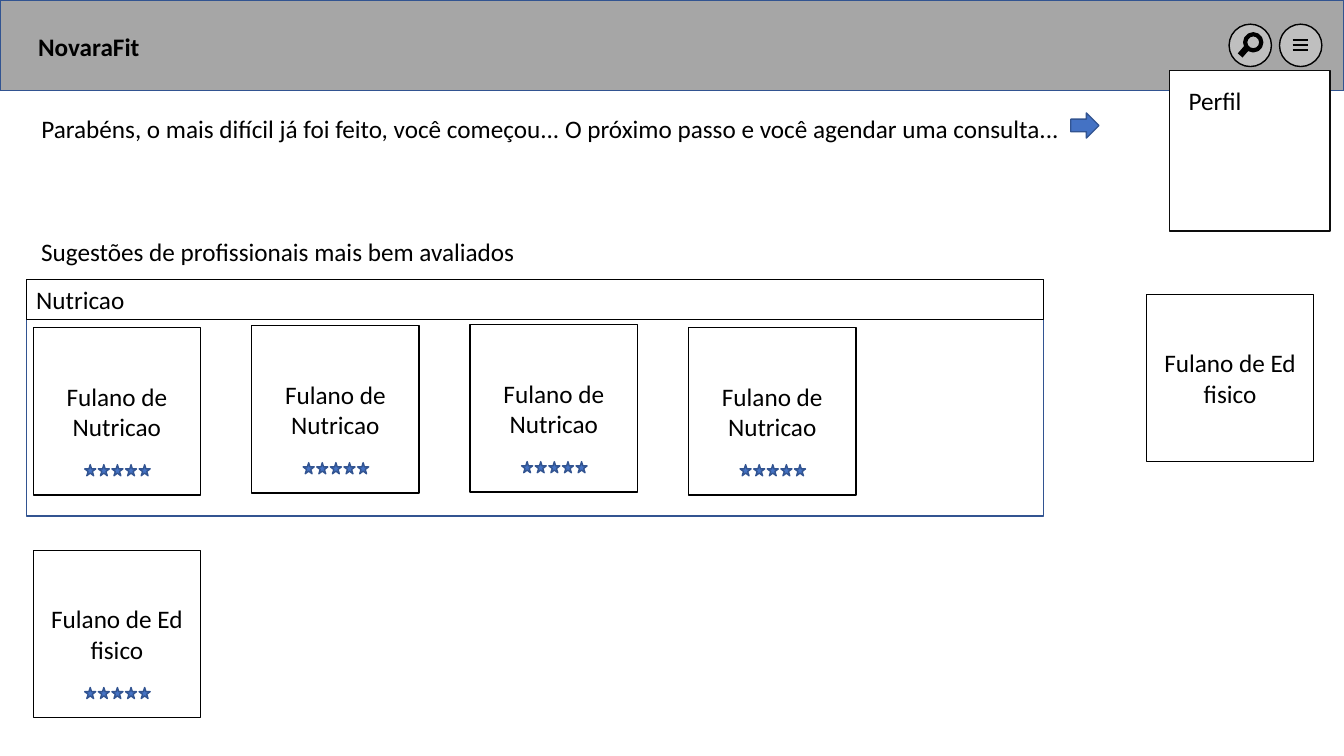
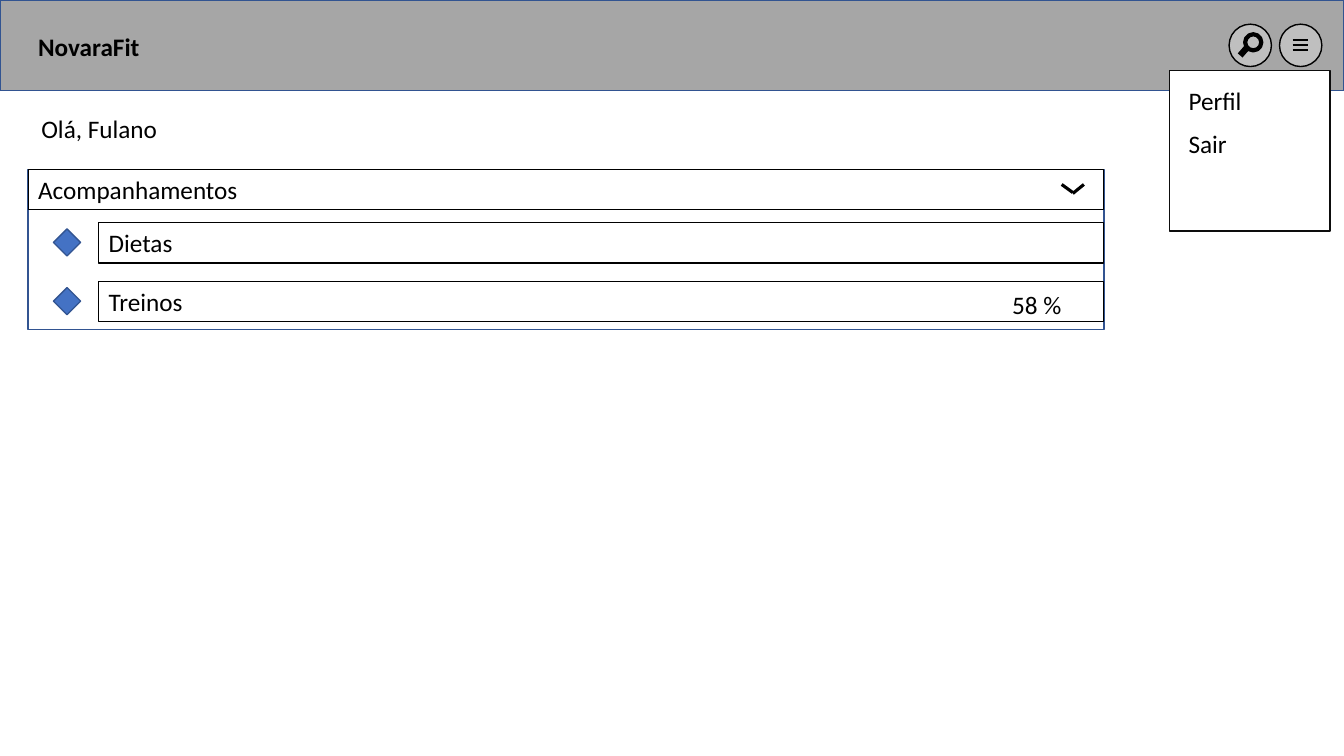
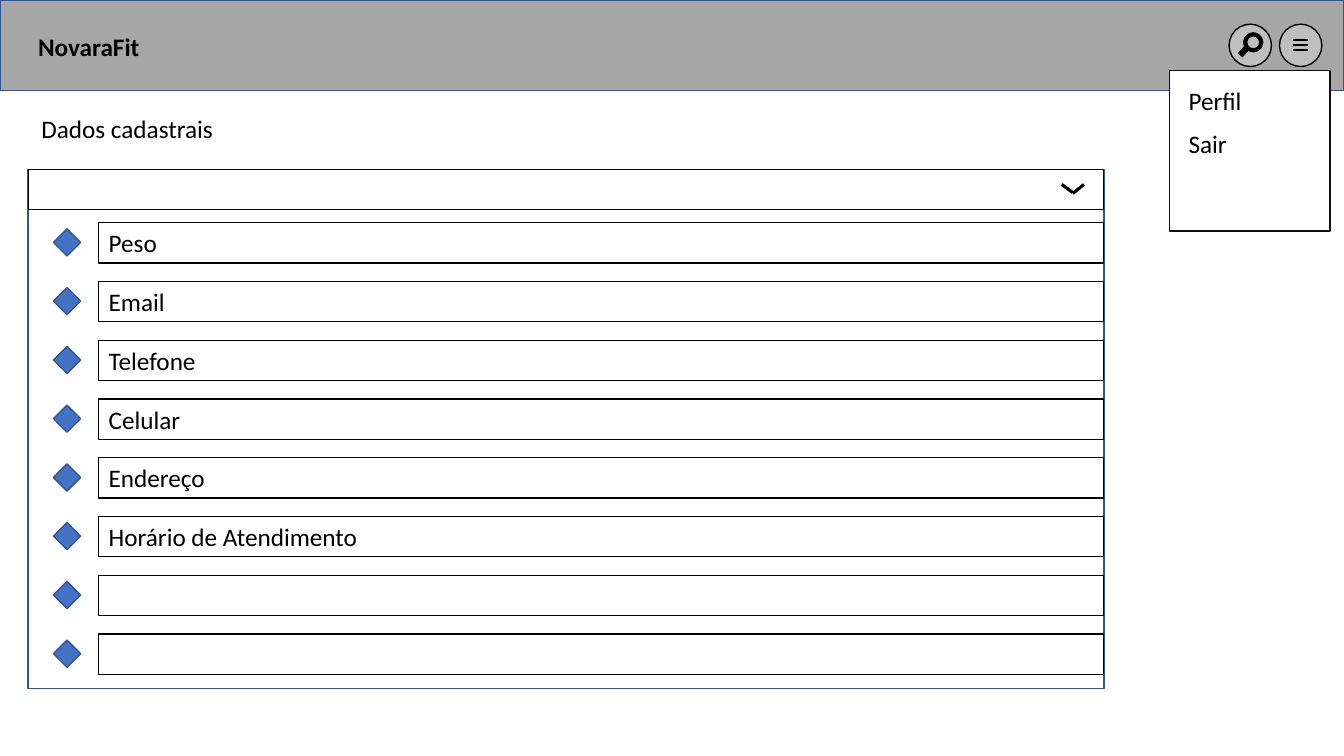
"""Build three wireframe pages of a fitness application."""
from lxml.etree import SubElement
from pptx import Presentation
from pptx.dml.color import RGBColor
from pptx.enum.shapes import MSO_CONNECTOR, MSO_SHAPE
from pptx.enum.text import MSO_ANCHOR, MSO_AUTO_SIZE, PP_ALIGN
from pptx.oxml.ns import qn
from pptx.util import Inches, Pt

BLACK = RGBColor(0x00, 0x00, 0x00)
INK = RGBColor(0x0D, 0x0D, 0x0D)
WHITE = RGBColor(0xFF, 0xFF, 0xFF)
HEADER_GREY = RGBColor(0xA6, 0xA6, 0xA6)
BUTTON_GREY = RGBColor(0xBF, 0xBF, 0xBF)
BLUE = RGBColor(0x44, 0x72, 0xC4)
DARK_BLUE = RGBColor(0x32, 0x54, 0x91)

FONT = {"name": "Calibri", "size": Pt(18), "bold": False}
FRAME = {"word_wrap": True, "auto_size": MSO_AUTO_SIZE.NONE}
BAR_HEIGHT = 0.4
PANEL_TOP = 1.68
ROW_TOP = 2.21
ROW_STEP = (6.29 - ROW_TOP) / 7
CARD_SIDE = 1.66
CARD_STEP = 6.5 / 3
STAR_STEP = 0.54 / 4


class Wireframe:
    """Hold the shared style and the current page."""

    def __init__(self):
        self.deck = Presentation()
        self.deck.slide_width = Inches(13.33)
        self.deck.slide_height = Inches(7.5)
        self.page = None

    def set_text(self, shape, text, anchor=MSO_ANCHOR.TOP, align=PP_ALIGN.LEFT, **font):
        frame = shape.text_frame
        frame.text = text
        for name, value in {**FRAME, "vertical_anchor": anchor}.items():
            setattr(frame, name, value)
        para = frame.paragraphs[0]
        para.alignment = align
        span = para.runs[0]
        for name, value in {**FONT, **font}.items():
            setattr(span.font, name, value)
        span.font.color.rgb = BLACK

    def shape(self, kind, left, top, width, height, fill=None, line=BLACK, weight=1):
        shape = self.page.shapes.add_shape(
            kind, Inches(left), Inches(top), Inches(width), Inches(height))
        shape.shadow.inherit = False
        if fill is None:
            shape.fill.background()
        else:
            shape.fill.solid()
            shape.fill.fore_color.rgb = fill
        shape.line.color.rgb = line
        shape.line.width = Pt(weight)
        return shape

    def label(self, text, left, top, width, height=BAR_HEIGHT, **font):
        box = self.page.shapes.add_textbox(
            Inches(left), Inches(top), Inches(width), Inches(height))
        self.set_text(box, text, **font)

    def line(self, start, end, weight):
        points = [Inches(value) for value in (*start, *end)]
        line = self.page.shapes.add_connector(MSO_CONNECTOR.STRAIGHT, *points)
        line.line.color.rgb = BLACK
        line.line.width = Pt(weight)
        SubElement(line._element.spPr, qn("a:effectLst"))
        return line

    def group(self, *shapes):
        self.page.shapes.add_group_shape(shapes)

    def bar(self, text, left, top, width):
        bar = self.shape(MSO_SHAPE.RECTANGLE, left, top, width, BAR_HEIGHT, weight=0.75)
        if text:
            self.set_text(bar, text)

    def title(self, text):
        title = self.page.shapes.title
        place = {"left": 0.31, "top": 1.07, "width": 10.67, "height": BAR_HEIGHT}
        for name, value in place.items():
            setattr(title, name, Inches(value))
        self.set_text(title, text)

    def header(self):
        self.shape(MSO_SHAPE.RECTANGLE, 0, 0, 13.33, 0.9, HEADER_GREY, DARK_BLUE)
        self.label("NovaraFit", 0.28, 0.26, 3.17, bold=True)
        for left in (12.19, 12.69):
            self.shape(MSO_SHAPE.OVAL, left, 0.24, 0.42, 0.42, BUTTON_GREY)
        for top in (0.4, 0.45, 0.5):
            self.line((12.82, top), (12.97, top), 1.5)
        lens = self.shape(MSO_SHAPE.OVAL, 12.35, 0.34, 0.16, 0.16, weight=3)
        self.group(lens, self.line((12.3, 0.55), (12.37, 0.47), 4.5))

    def menu(self, entries):
        self.shape(MSO_SHAPE.RECTANGLE, 11.6, 0.7, 1.59, 1.59, WHITE, INK)
        for index, entry in enumerate(entries):
            self.label(entry, 11.69, 0.8 + 0.42 * index, 0.89)

    def start(self, title, entries):
        self.page = self.deck.slides.add_slide(self.deck.slide_layouts[5])
        self.title(title)
        self.header()
        self.menu(entries)

    def card(self, text, left, top, stars=5):
        card = self.shape(MSO_SHAPE.RECTANGLE, left, top, CARD_SIDE, CARD_SIDE)
        self.set_text(card, text, MSO_ANCHOR.MIDDLE, PP_ALIGN.CENTER)
        rating = [
            self.shape(MSO_SHAPE.STAR_5_POINT, left + 0.51 + STAR_STEP * index,
                       top + 1.36, 0.11, 0.11, BLUE, DARK_BLUE)
            for index in range(stars)]
        if rating:
            self.group(card, *rating)

    def accordion(self, heading, rows, height):
        self.shape(MSO_SHAPE.RECTANGLE, 0.28, PANEL_TOP, 10.67, height, line=DARK_BLUE)
        self.bar(heading, 0.28, PANEL_TOP, 10.67)
        self.group(self.line((10.53, 1.83), (10.64, 1.91), 2.25),
                   self.line((10.64, 1.92), (10.75, 1.83), 2.25))
        for index, row in enumerate(rows):
            top = ROW_TOP + ROW_STEP * index
            self.shape(MSO_SHAPE.DIAMOND, 0.53, top + 0.06, 0.27, 0.27, BLUE, DARK_BLUE)
            self.bar(row, 0.98, top, 9.97)


def suggestions(wireframe):
    wireframe.start("Parabéns, o mais difícil já foi feito, você começou... "
                    "O próximo passo e você agendar uma consulta...", ["Perfil"])
    wireframe.shape(MSO_SHAPE.RIGHT_ARROW, 10.62, 1.12, 0.28, 0.25, BLUE, DARK_BLUE)
    wireframe.label("Sugestões de profissionais mais bem avaliados", 0.31, 2.29, 10.81, 0.71)
    wireframe.shape(MSO_SHAPE.RECTANGLE, 0.26, 2.77, 10.09, 2.35, line=DARK_BLUE)
    wireframe.bar("Nutricao", 0.26, 2.77, 10.09)
    for index, top in enumerate((3.25, 3.23, 3.22, 3.25)):
        wireframe.card("Fulano de Nutricao", 0.33 + CARD_STEP * index, top)
    wireframe.card("Fulano de Ed fisico", 0.33, 5.46)
    wireframe.card("Fulano de Ed fisico", 11.37, 2.92, stars=0)


def follow_up(wireframe):
    wireframe.start("Olá, Fulano", ["Perfil", "Sair"])
    wireframe.accordion("Acompanhamentos", ["Dietas", "Treinos"], 1.59)
    wireframe.label("58 %", 9.94, 2.82, 0.76)


def registration(wireframe):
    wireframe.start("Dados cadastrais", ["Perfil", "Sair"])
    fields = ["Peso", "Email", "Telefone", "Celular", "Endereço",
              "Horário de Atendimento", "", ""]
    wireframe.accordion("", fields, 5.15)


wireframe = Wireframe()
for build in (suggestions, follow_up, registration):
    build(wireframe)
wireframe.deck.save("out.pptx")
